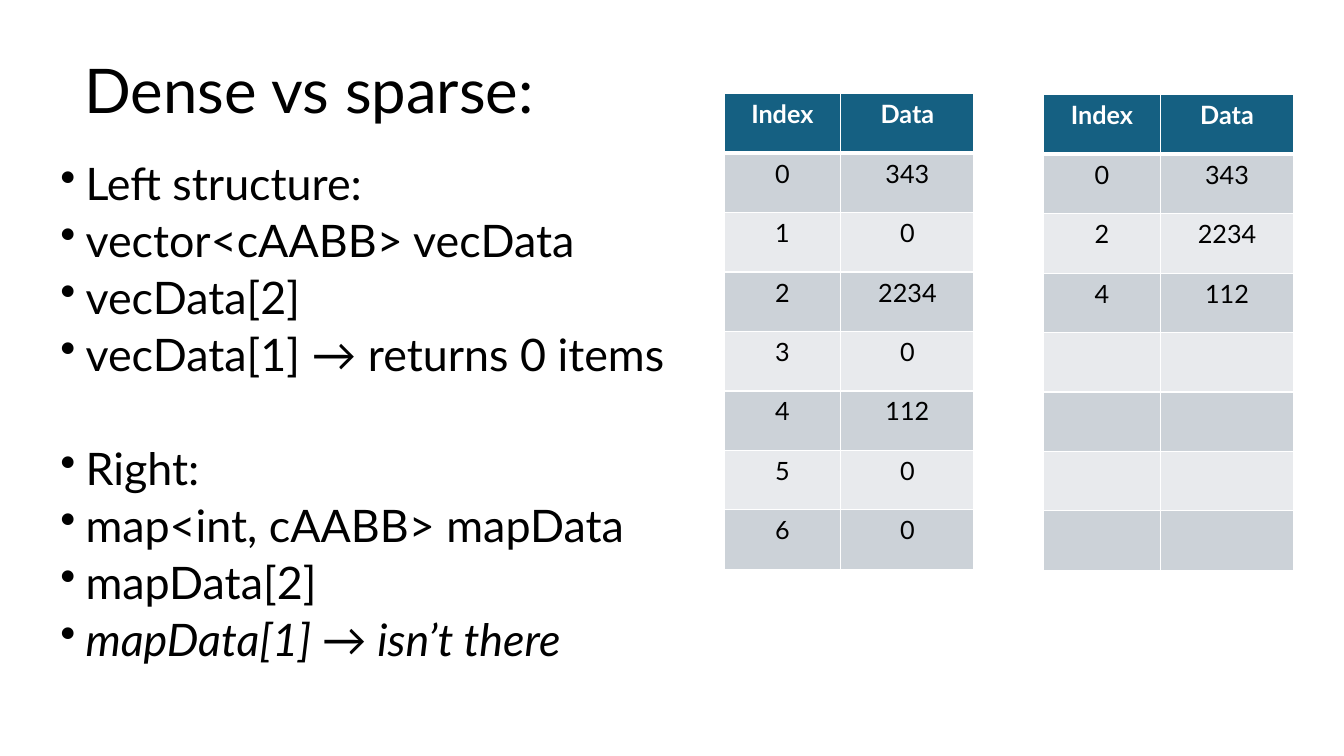
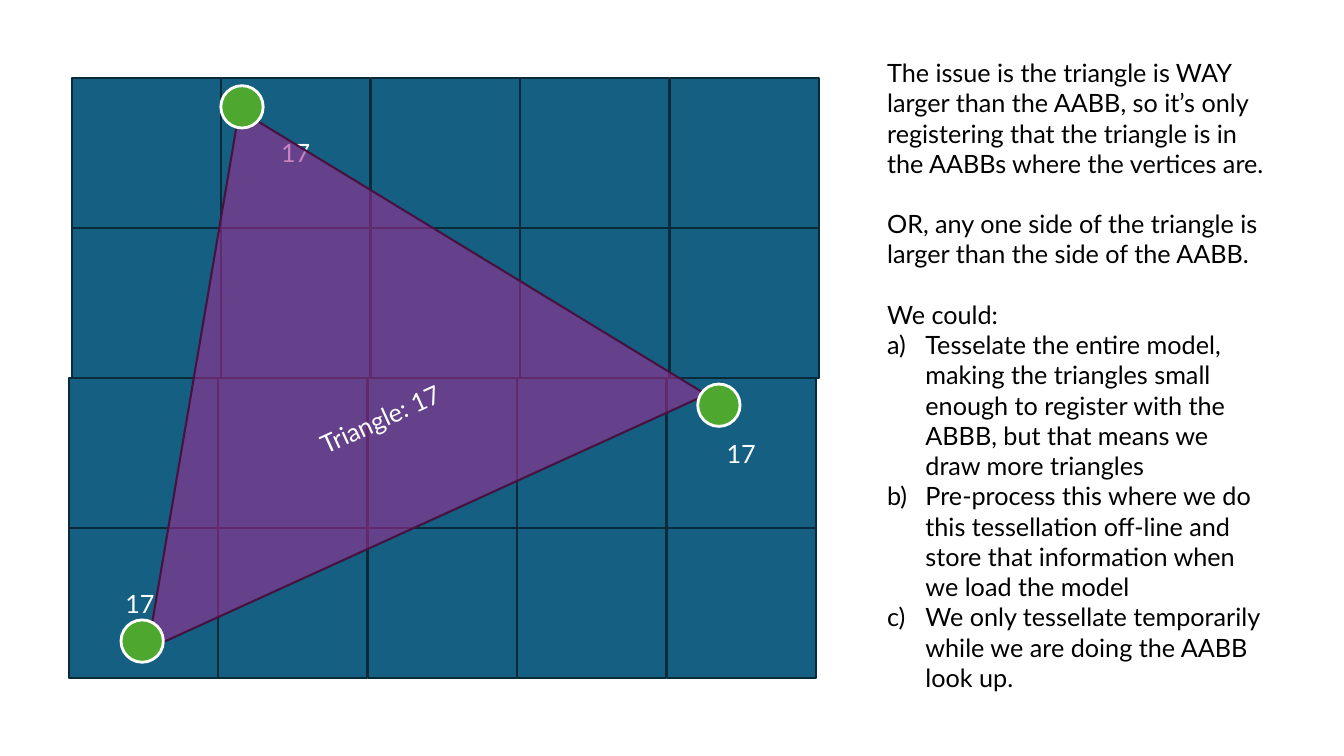
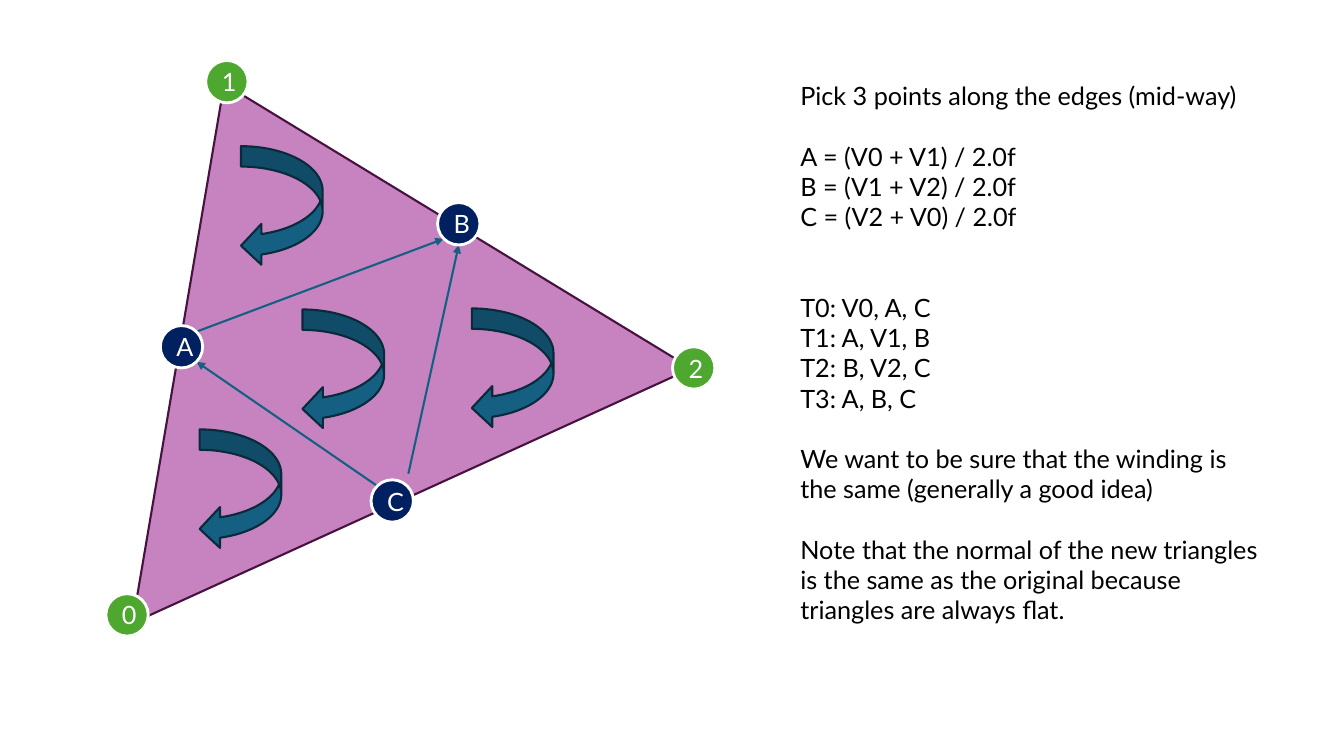
"""Three slides on dense and sparse data, large triangles and tessellation."""
from lxml import etree
from pptx import Presentation
from pptx.dml.color import RGBColor
from pptx.enum.shapes import MSO_CONNECTOR, MSO_SHAPE
from pptx.enum.text import MSO_ANCHOR, PP_ALIGN
from pptx.oxml import parse_xml
from pptx.oxml.ns import nsdecls, qn
from pptx.util import Inches, Pt

RECT, OVAL = MSO_SHAPE.RECTANGLE, MSO_SHAPE.OVAL
WEDGE, CURVE = MSO_SHAPE.ISOSCELES_TRIANGLE, MSO_SHAPE.CURVED_LEFT_ARROW
LINE = MSO_CONNECTOR.STRAIGHT
CENTER, MIDDLE = PP_ALIGN.CENTER, MSO_ANCHOR.MIDDLE

HUES = {
    "teal": "156082", "edge": "092A39", "plum": "A02B93", "wine": "461340",
    "green": "4EA72E", "navy": "002060", "white": "FFFFFF", "black": "000000",
    "dark": "CCD2D8", "light": "E8EAED",
}
INK = {name: RGBColor.from_string(code) for name, code in HUES.items()}
BODY = {"name": "Lato", "size": Pt(18)}
HEAD = {**BODY, "size": Pt(44)}
LIST = {**BODY, "size": Pt(32)}
BULLET = '<a:buChar %s char="•"/>' % nsdecls("a")
LETTER = '<a:buAutoNum %s type="alphaLcParenR"/>' % nsdecls("a")
GAP = 21.6
DOT = 0.42


def write(frame, lines, font=BODY, ink="black", para=None, mark=None, indent=0):
    """Fill a frame with (text, space before, marked, italic) lines."""
    frame.word_wrap = True
    for n, (text, before, marked, italic) in enumerate(lines):
        item = frame.add_paragraph() if n else frame.paragraphs[0]
        look = {"space_before": Pt(before), **(para or {})}
        for key, value in look.items():
            setattr(item, key, value)
        if marked:
            props = item._p.get_or_add_pPr()
            props.set("marL", str(Inches(indent)))
            props.set("indent", str(Inches(-indent)))
            props.append(parse_xml(mark))
        run = item.add_run()
        run.text = text
        for key, value in {**font, "italic": italic}.items():
            setattr(run.font, key, value)
        run.font.color.rgb = INK[ink]


def draw(slide, kind, box, fill, line, width=1.5, text="", turn=0, alpha=None):
    """Add a filled preset shape with an optional centred label."""
    shape = slide.shapes.add_shape(kind, *map(Inches, box))
    shape.shadow.inherit = False
    shape.rotation = turn
    shape.fill.solid()
    shape.fill.fore_color.rgb = INK[fill]
    shape.line.color.rgb = INK[line]
    shape.line.width = Pt(width)
    if alpha:
        tint = shape.fill._xPr.find(".//" + qn("a:srgbClr"))
        etree.SubElement(tint, qn("a:alpha")).set("val", str(alpha * 1000))
    if text:
        shape.text_frame.vertical_anchor = MIDDLE
        write(shape.text_frame, [(text, 0, False, False)], ink="white",
              para={"alignment": CENTER})


deck = Presentation()
deck.slide_width, deck.slide_height = Inches(13.33), Inches(7.5)
dense, issue, split = [deck.slides.add_slide(deck.slide_layouts[6]) for _ in range(3)]

title = dense.shapes.add_textbox(*map(Inches, (0.74, 0.42, 5.93, 1.02))).text_frame
title.vertical_anchor = MIDDLE
write(title, [("Dense vs sparse:", 0, False, False)], HEAD, para={"line_spacing": 0.9})

points = [
    ("Left structure:", 0, True, False),
    ("vector<cAABB> vecData", 10, True, False),
    ("vecData[2]", 10, True, False),
    ("vecData[1] → returns 0 items", 10, True, False),
    ("Right:", 50.7, True, False),
    ("map<int, cAABB> mapData", 10, True, False),
    ("mapData[2]", 10, True, False),
    ("mapData[1] → isn’t there", 10, True, True),
]
body = dense.shapes.add_textbox(*map(Inches, (0.5, 1.6, 6.33, 5.36))).text_frame
write(body, points, LIST, para={"line_spacing": 0.8}, mark=BULLET, indent=0.25)

full = [("0", "343"), ("1", "0"), ("2", "2234"), ("3", "0"), ("4", "112"), ("5", "0"), ("6", "0")]
used = [pair for pair in full if pair[1] != "0"]
for left, top, pairs in ((10.35, 0.94, used), (7.18, 0.93, full)):
    rows = [("Index", "Data")] + pairs + [("", "")] * (len(full) - len(pairs))
    size = Inches(left), Inches(top), Inches(2.48), Inches(0.59 * len(rows))
    grid = dense.shapes.add_table(len(rows), 2, *size).table
    for col, width in zip(grid.columns, (1.16, 1.32)):
        col.width = Inches(width)
    for r, pair in enumerate(rows):
        grid.rows[r].height = Inches(0.59)
        for c, text in enumerate(pair):
            cell = grid.cell(r, c)
            for side in "LRTB":
                thick = (r, side) in ((0, "B"), (1, "T"))
                cell._tc.get_or_add_tcPr().append(parse_xml(
                    '<a:ln%s %s w="%d"><a:solidFill><a:srgbClr val="%s"/></a:solidFill></a:ln%s>'
                    % (side, nsdecls("a"), Pt(3 if thick else 1), HUES["white"], side)))
            cell.fill.solid()
            cell.fill.fore_color.rgb = INK["teal" if r == 0 else "dark" if r % 2 else "light"]
            if text:
                write(cell.text_frame, [(text, 0, False, False)], {**BODY, "bold": r == 0},
                      "black" if r else "white", {"alignment": CENTER})

tags = {(0, 1): "17", (2, 4): "17", (3, 0): "17 "}
for r in range(4):
    for c in range(5):
        box = (0.71 if r < 2 else 0.68) + c * 1.483, 0.77 + r * 1.49, 1.48, 1.49
        draw(issue, RECT, box, "teal", "edge", text=tags.get((r, c), ""))

for slide, left, top, text in ((issue, 0.26, 0.89, "Triangle: 17"), (split, 0.11, 0.63, "")):
    draw(slide, WEDGE, (left, top, 6.09, 4.49), "plum", "wine", text=text, turn=335.5, alpha=58)

for x, y in ((1.98, 4.26), (2.39, 1.45), (4.68, 3.06), (3, 3.07)):
    draw(split, CURVE, (x, y, 0.81, 1.19), "teal", "edge")

for ends in ((1.95, 3.29, 4.4, 2.37), (4.05, 4.7, 4.55, 2.43), (3.74, 4.82, 1.95, 3.59)):
    link = split.shapes.add_connector(LINE, *map(Inches, ends))
    link.line.color.rgb = INK["teal"]
    link.line.width = Pt(1.5)
    etree.SubElement(link.line._get_or_add_ln(), qn("a:tailEnd")).set("type", "triangle")
    etree.SubElement(link._element.spPr, qn("a:effectLst"))

dots = [
    (issue, 2.19, 0.85, "green", ""),
    (issue, 6.92, 3.81, "green", ""),
    (issue, 1.2, 6.15, "green", ""),
    (split, 2.04, 0.6, "green", "1"),
    (split, 6.67, 3.44, "green", "2"),
    (split, 1.05, 5.89, "green", "0"),
    (split, 1.59, 3.23, "navy", "A"),
    (split, 4.34, 2.01, "navy", "B"),
    (split, 3.68, 4.76, "navy", "C"),
]
for slide, x, y, fill, text in dots:
    draw(slide, OVAL, (x, y, DOT, DOT), fill, "white", 2, text)

cause = [
    ("The issue is the triangle is WAY larger than the AABB, so it’s only registering "
     "that the triangle is in the AABBs where the vertices are.", 0, False, False),
    ("OR, any one side of the triangle is larger than the side of the AABB.", GAP, False, False),
    ("We could:", GAP, False, False),
    ("Tesselate the entire model, making the triangles small enough to register with "
     "the ABBB, but that means we draw more triangles", 0, True, False),
    ("Pre-process this where we do this tessellation off-line and store that "
     "information when we load the model", 0, True, False),
    ("We only tessellate temporarily while we are doing the AABB look up.", 0, True, False),
]
steps = [
    ("Pick 3 points along the edges (mid-way)", 0, False, False),
    ("A = (V0 + V1) / 2.0f", GAP, False, False),
    ("B = (V1 + V2) / 2.0f", 0, False, False),
    ("C = (V2 + V0) / 2.0f", 0, False, False),
    ("T0: V0, A, C", 2 * GAP, False, False),
    ("T1: A, V1, B", 0, False, False),
    ("T2: B, V2, C", 0, False, False),
    ("T3: A, B, C", 0, False, False),
    ("We want to be sure that the winding is the same (generally a good idea)", GAP, False, False),
    ("Note that the normal of the new triangles is the same as the original because "
     "triangles are always flat.", GAP, False, False),
]
for slide, box, lines in ((issue, (8.7, 0.52, 3.95, 6.46), cause),
                          (split, (7.84, 0.75, 4.8, 5.55), steps)):
    note = slide.shapes.add_textbox(*map(Inches, box)).text_frame
    write(note, lines, mark=LETTER, indent=0.38)

deck.save("out.pptx")
